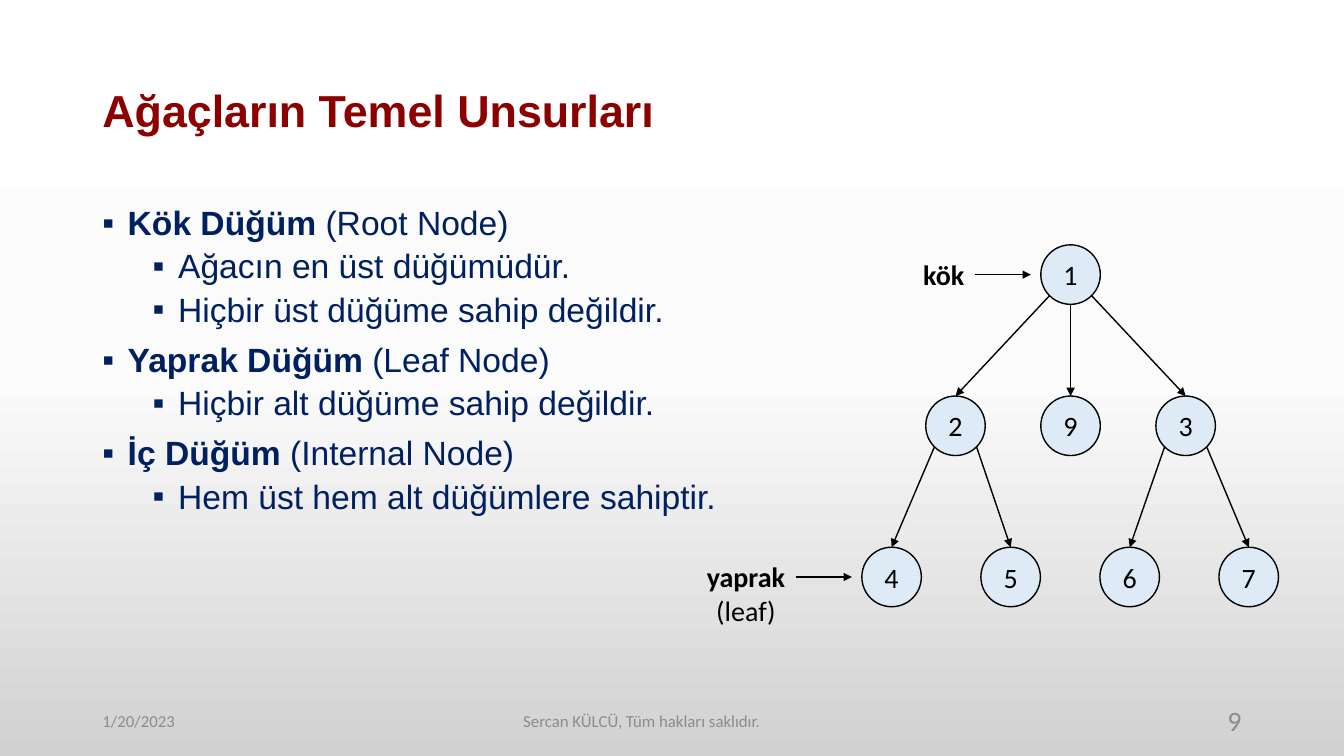
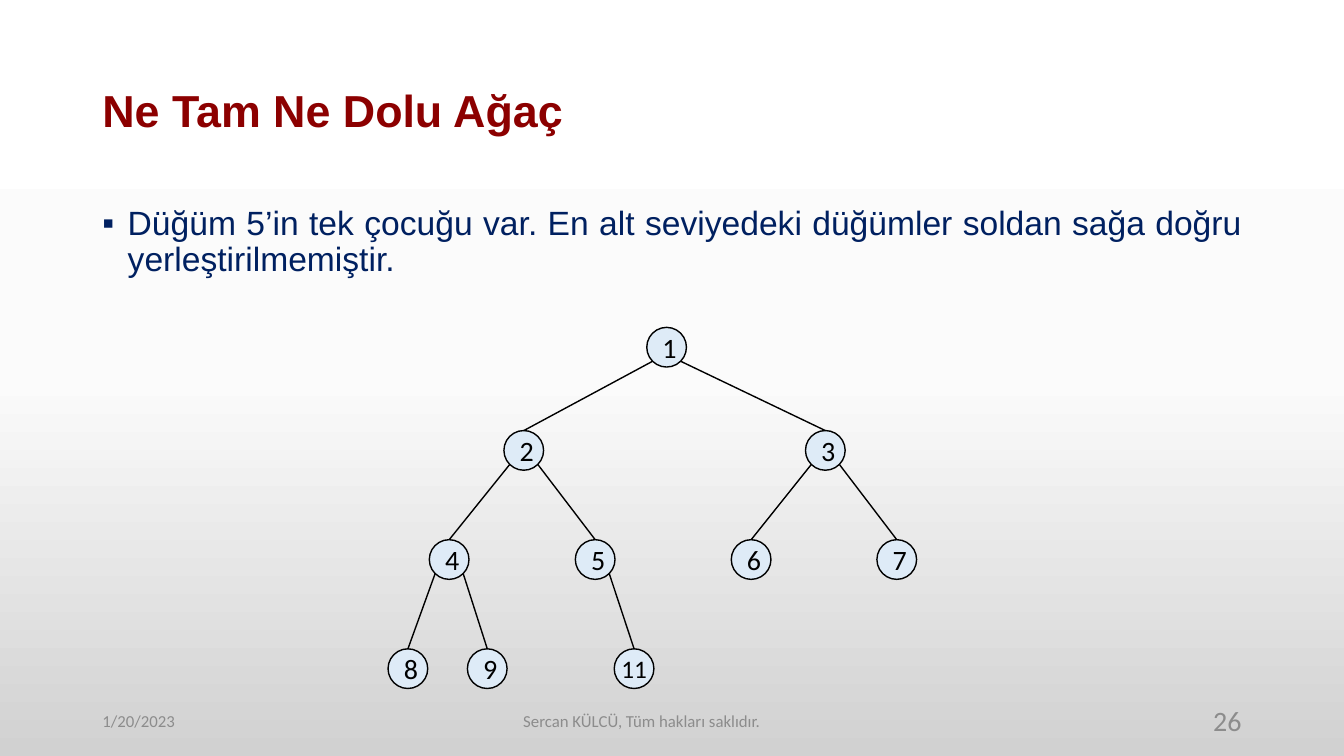
"""Build two slides that explain tree data structures with node diagrams."""
from copy import deepcopy
from dataclasses import dataclass
from math import sqrt

from lxml.etree import SubElement
from pptx import Presentation
from pptx.dml.color import RGBColor
from pptx.enum.shapes import MSO_CONNECTOR, MSO_SHAPE
from pptx.enum.text import MSO_ANCHOR, MSO_AUTO_SIZE, PP_ALIGN
from pptx.oxml.ns import qn
from pptx.util import Cm, Pt


@dataclass(frozen=True)
class Theme:
    title_color: RGBColor = RGBColor.from_string("8C0000")
    body_color: RGBColor = RGBColor.from_string("002060")
    footer_color: RGBColor = RGBColor.from_string("8C8C8C")
    node_fill: RGBColor = RGBColor.from_string("DEEBF7")
    ink: RGBColor = RGBColor.from_string("000000")
    background: tuple = ((0, "FFFFFF"), (0.5, "FBFBFB"), (1, "D1D1D1"))
    text_font: str = "Arial"
    diagram_font: str = "Calibri"
    title_size: Pt = Pt(32)
    body_size: Pt = Pt(24)
    node_size: Pt = Pt(20)
    small_node_size: Pt = Pt(18)
    footer_size: Pt = Pt(12)
    number_size: Pt = Pt(20)
    line_width: Pt = Pt(1)


THEME = Theme()


def add_run(paragraph, text, font, size, color, bold=False):
    run = paragraph.add_run()
    run.text = text
    run.font.name = font
    run.font.size = size
    run.font.color.rgb = color
    run.font.bold = bold


def add_line(slide, begin_x, begin_y, end_x, end_y, arrow):
    connector = slide.shapes.add_connector(
        MSO_CONNECTOR.STRAIGHT, Cm(begin_x), Cm(begin_y), Cm(end_x), Cm(end_y))
    connector.line.color.rgb = THEME.ink
    connector.line.width = THEME.line_width
    if arrow:
        SubElement(connector.get_or_add_ln(), qn("a:tailEnd"), type="triangle")
    SubElement(connector._element.spPr, qn("a:effectLst"))
    return connector


SLIDES = [
    {
        "title": "Ağaçların Temel Unsurları",
        "number": "9",
        "body": [
            (0, [("Kök Düğüm ", True), ("(Root Node)", False)]),
            (1, [("Ağacın en üst düğümüdür.", False)]),
            (1, [("Hiçbir üst düğüme sahip değildir.", False)]),
            (0, [("Yaprak Düğüm ", True), ("(Leaf Node)", False)]),
            (1, [("Hiçbir alt düğüme sahip değildir.", False)]),
            (0, [("İç Düğüm ", True), ("(Internal Node)", False)]),
            (1, [("Hem üst hem alt düğümlere sahiptir.", False)]),
        ],
        "diameter": 1.5,
        "rows": [
            (6.17, {"1": 26.98}),
            (9.98, {"2": 24.08, "9": 26.98, "3": 29.88}),
            (13.79, {"4": 22.47, "5": 25.47, "6": 28.47, "7": 31.47}),
        ],
        "children": {"1": ["2", "9", "3"], "2": ["4", "5"], "3": ["6", "7"]},
        "arrows": True,
        "callouts": [
            ("1", 23.01, 1.55, [("kök", True)]),
            ("4", 17.55, 2.5, [("yaprak", True), ("(leaf)", False)]),
        ],
    },
    {
        "title": "Ne Tam Ne Dolu Ağaç",
        "number": "26",
        "body": [
            (0, [("Düğüm 5’in tek çocuğu var. En alt seviyedeki düğümler "
                  "soldan sağa doğru yerleştirilmemiştir.", False)]),
        ],
        "diameter": 1,
        "rows": [
            (8.25, {"1": 16.8}),
            (10.85, {"2": 13.2, "3": 20.8}),
            (13.6, {"4": 11.32, "5": 15, "6": 18.93, "7": 22.6}),
            (16.35, {"8": 10.28, "9": 12.28, "11": 15.98}),
        ],
        "children": {"1": ["2", "3"], "2": ["4", "5"], "3": ["6", "7"],
                     "4": ["8", "9"], "5": ["11"]},
        "arrows": False,
        "callouts": [],
    },
]

MARGIN, CONTENT_WIDTH = 2.33, 29.21
CALLOUT_GAP, CALLOUT_PADDING, CALLOUT_LINE = 0.25, 0.28, 0.84

presentation = Presentation()
presentation.slide_width = Cm(33.87)
presentation.slide_height = Cm(19.05)

master = presentation.slide_master
background_fill = master.background.fill
background_fill.gradient()
background_fill.gradient_angle = 270
stop_list = next(master._element.iter(qn("a:gsLst")))
stop_list.append(deepcopy(stop_list[0]))
for stop, (position, color) in zip(background_fill.gradient_stops, THEME.background):
    stop.position = position
    stop.color.rgb = RGBColor.from_string(color)

for content in SLIDES:
    slide = presentation.slides.add_slide(presentation.slide_layouts[6])

    title = slide.shapes.add_textbox(Cm(MARGIN), Cm(1.02), Cm(CONTENT_WIDTH), Cm(3.68))
    title.text_frame.word_wrap = True
    title.text_frame.vertical_anchor = MSO_ANCHOR.MIDDLE
    paragraph = title.text_frame.paragraphs[0]
    paragraph.line_spacing = 0.9
    add_run(paragraph, content["title"], THEME.text_font, THEME.title_size,
            THEME.title_color, True)

    body = slide.shapes.add_textbox(Cm(MARGIN), Cm(5.08), Cm(CONTENT_WIDTH), Cm(13))
    body.text_frame.word_wrap = True
    for index, (level, runs) in enumerate(content["body"]):
        paragraph = body.text_frame.add_paragraph() if index else body.text_frame.paragraphs[0]
        properties = paragraph._p.get_or_add_pPr()
        properties.set("marL", str(Cm(0.64 + 1.27 * level)))
        properties.set("indent", str(Cm(-0.64)))
        SubElement(properties, qn("a:buFont"), typeface=THEME.text_font)
        SubElement(properties, qn("a:buChar"), char="▪")
        paragraph.level = level
        paragraph.alignment = PP_ALIGN.JUSTIFY
        paragraph.line_spacing = 0.9
        if index:
            paragraph.space_before = Pt(5 if level else 10)
        for text, bold in runs:
            add_run(paragraph, text, THEME.text_font, THEME.body_size, THEME.body_color, bold)

    for left, width, text, size, alignment in (
        (MARGIN, 7.62, "1/20/2023", THEME.footer_size, PP_ALIGN.LEFT),
        (6.55, 19.25, "Sercan KÜLCÜ, Tüm hakları saklıdır.", THEME.footer_size, PP_ALIGN.CENTER),
        (23.92, 7.62, content["number"], THEME.number_size, PP_ALIGN.RIGHT),
    ):
        footer = slide.shapes.add_textbox(Cm(left), Cm(17.65), Cm(width), Cm(1.02))
        footer.text_frame.word_wrap = True
        footer.text_frame.vertical_anchor = MSO_ANCHOR.MIDDLE
        paragraph = footer.text_frame.paragraphs[0]
        paragraph.alignment = alignment
        add_run(paragraph, text, THEME.diagram_font, size, THEME.footer_color)

    diameter = content["diameter"]
    radius = diameter / 2
    nodes, centers = {}, {}
    for top, row in content["rows"]:
        for label, center_x in row.items():
            node = slide.shapes.add_shape(
                MSO_SHAPE.OVAL, Cm(center_x - radius), Cm(top), Cm(diameter), Cm(diameter))
            node.shadow.inherit = False
            node.fill.solid()
            node.fill.fore_color.rgb = THEME.node_fill
            node.line.color.rgb = THEME.ink
            node.line.width = THEME.line_width
            frame = node.text_frame
            frame.vertical_anchor = MSO_ANCHOR.MIDDLE
            size = THEME.node_size
            if len(label) > 1:
                size = THEME.small_node_size
                frame.margin_left = frame.margin_right = 0
                frame.margin_top = frame.margin_bottom = 0
            paragraph = frame.paragraphs[0]
            paragraph.alignment = PP_ALIGN.CENTER
            add_run(paragraph, label, THEME.diagram_font, size, THEME.ink)
            nodes[label] = node
            centers[label] = (center_x, top + radius)

    for parent, children in content["children"].items():
        parent_x, parent_y = centers[parent]
        for child in children:
            child_x, child_y = centers[child]
            side = (child_x > parent_x) - (child_x < parent_x)
            begin_x = parent_x + side * radius / sqrt(2)
            begin_y = parent_y + (radius / sqrt(2) if side else radius)
            edge = add_line(slide, begin_x, begin_y, child_x, child_y - radius,
                            content["arrows"])
            edge.end_connect(nodes[child], 0)

    for target, left, width, lines in content["callouts"]:
        target_x, target_y = centers[target]
        top = target_y - (CALLOUT_PADDING + CALLOUT_LINE) / 2
        height = CALLOUT_PADDING + CALLOUT_LINE * len(lines)
        callout = slide.shapes.add_textbox(Cm(left), Cm(top), Cm(width), Cm(height))
        callout.text_frame.word_wrap = False
        callout.text_frame.auto_size = MSO_AUTO_SIZE.SHAPE_TO_FIT_TEXT
        for index, (text, bold) in enumerate(lines):
            paragraph = (callout.text_frame.add_paragraph() if index
                         else callout.text_frame.paragraphs[0])
            paragraph.alignment = PP_ALIGN.CENTER
            add_run(paragraph, text, THEME.diagram_font, THEME.node_size, THEME.ink, bold)
        pointer = add_line(slide, left + width, target_y,
                           target_x - radius - CALLOUT_GAP, target_y, True)
        if len(lines) == 1:
            pointer.begin_connect(callout, 3)

presentation.save("out.pptx")
